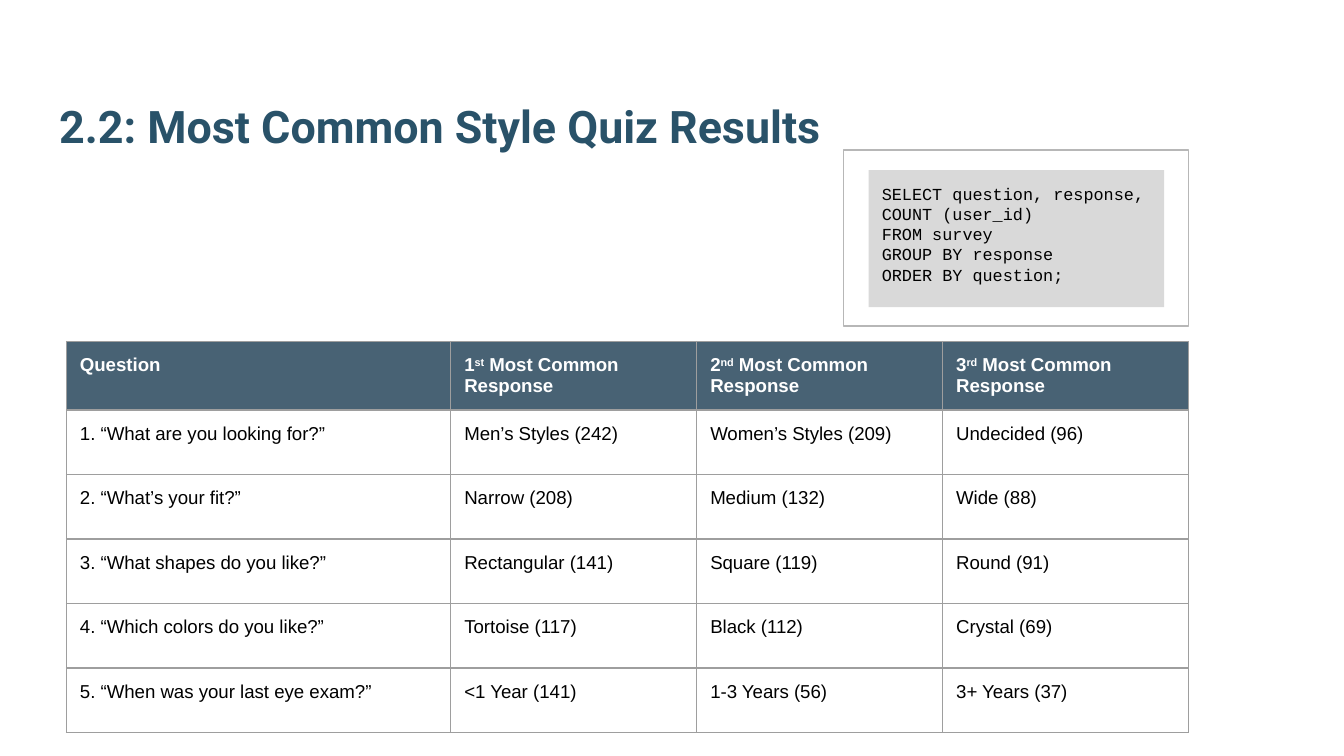
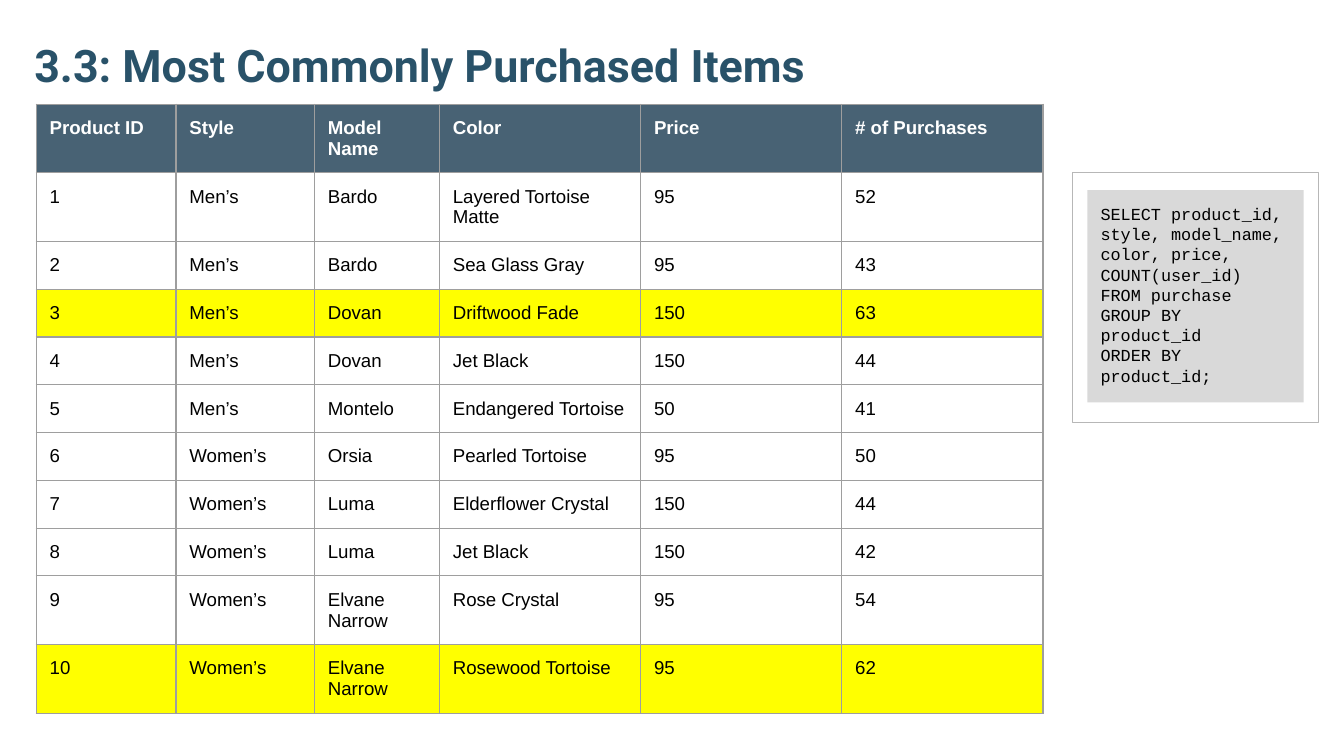
"""Build two slides of survey and purchase results, each with its query."""
from lxml.etree import SubElement
from pptx import Presentation
from pptx.dml.color import RGBColor as RGB
from pptx.enum.shapes import MSO_SHAPE as SHAPE
from pptx.enum.text import MSO_ANCHOR as ANCHOR, PP_ALIGN as ALIGN
from pptx.oxml.ns import qn
from pptx.util import Inches, Pt

COLORS = {"title": "295269", "header": "204056", "highlight": "FFFF00", "code": "D9D9D9",
          "frame": "B7B7B7", "border": "9E9E9E", "text": "000000", "header_text": "FFFFFF"}
FORMATS = {
    "title": {"name": "Roboto", "size": Pt(24), "bold": True, "color": "title"},
    "header": {"name": "Arial", "size": Pt(10), "bold": True, "color": "header_text"},
    "cell": {"name": "Arial", "size": Pt(10), "bold": False, "color": "text"},
    "code": {"name": "Courier New", "size": Pt(9), "bold": False, "color": "text"},
}
MARGINS = {f"margin_{side}": Inches(0.1) for side in ("left", "right", "top", "bottom")}
HEADER_ALPHA = "82000"
SUPERSCRIPT = "30000"

SLIDES = [
    {
        "title": "2.2: Most Common Style Quiz Results",
        "title_at": (3.4, 3.15, 93.2, 9.2),
        "frame_at": (62.75, 11.15, 25.7, 13.1),
        "code_at": (64.63, 12.65, 22, 10.2),
        "table_at": (4.95, 25.4),
        "columns": [28.6] + [18.3] * 3,
        "rows": [3.6] + [4.8] * 5,
        "highlighted": (),
        "answers": [
            ["Question"] + [f"{rank} Most Common Response" for rank in ("1^st^", "2^nd^", "3^rd^")],
            ["1. “What are you looking for?”", "Men’s Styles (242)", "Women’s Styles (209)", "Undecided (96)"],
            ["2. “What’s your fit?”", "Narrow (208)", "Medium (132)", "Wide (88)"],
            ["3. “What shapes do you like?”", "Rectangular (141)", "Square (119)", "Round (91)"],
            ["4. “Which colors do you like?”", "Tortoise (117)", "Black (112)", "Crystal (69)"],
            ["5. “When was your last eye exam?”", "<1 Year (141)", "1-3 Years (56)", "3+ Years (37)"],
        ],
        "query": ["SELECT question, response,", "COUNT (user_id)", "FROM survey",
                  "GROUP BY response", "ORDER BY question;"],
    },
    {
        "title": "3.3: Most Commonly Purchased Items",
        "title_at": (1.55, -1.4, 93.2, 9.2),
        "frame_at": (79.8, 12.85, 18.3, 18.6),
        "code_at": (80.9, 14.15, 16.1, 15.8),
        "table_at": (2.7, 7.75),
        "columns": [10.4, 10.3, 9.3] + [14.97] * 3,
        "rows": [4.7] * 2 + [3.3] * 7 + [4.7] * 2,
        "highlighted": (3, 10),
        "answers": [
            ["Product ID", "Style", "Model Name", "Color", "Price", "# of Purchases"],
            ["1", "Men’s", "Bardo", "Layered Tortoise Matte", "95", "52"],
            ["2", "Men’s", "Bardo", "Sea Glass Gray", "95", "43"],
            ["3", "Men’s", "Dovan", "Driftwood Fade", "150", "63"],
            ["4", "Men’s", "Dovan", "Jet Black", "150", "44"],
            ["5", "Men’s", "Montelo", "Endangered Tortoise", "50", "41"],
            ["6", "Women’s", "Orsia", "Pearled Tortoise", "95", "50"],
            ["7", "Women’s", "Luma", "Elderflower Crystal", "150", "44"],
            ["8", "Women’s", "Luma", "Jet Black", "150", "42"],
            ["9", "Women’s", "Elvane Narrow", "Rose Crystal", "95", "54"],
            ["10", "Women’s", "Elvane Narrow", "Rosewood Tortoise", "95", "62"],
        ],
        "query": ["SELECT product_id, style, model_name, color, price,", "COUNT(user_id)",
                  "FROM purchase", "GROUP BY product_id", "ORDER BY product_id;"],
    },
]

deck = Presentation()
deck.slide_width = Inches(10)
deck.slide_height = deck.slide_width * 9 // 16
COLUMN, ROW = deck.slide_width / 100, deck.slide_height / 56.25


def grid(left, top, width, height):
    """Turn grid columns and rows into slide lengths."""
    return [round(share * unit) for share, unit in zip((left, top, width, height), (COLUMN, ROW) * 2)]


def write(holder, lines, style):
    """Fill a text frame with lines; text between carets is superscript."""
    holder.text = "\n".join(line.replace("^", "") for line in lines)
    for paragraph, line in zip(holder.paragraphs, lines):
        paragraph.alignment = ALIGN.LEFT
        paragraph.clear()
        for position, piece in enumerate(line.split("^")):
            run = paragraph.add_run()
            run.text = piece
            for key, value in FORMATS[style].items():
                if key == "color":
                    run.font.color.rgb = RGB.from_string(COLORS[value])
                else:
                    setattr(run.font, key, value)
            if position % 2:
                run._r.get_or_add_rPr().set("baseline", SUPERSCRIPT)


for content in SLIDES:
    slide = deck.slides.add_slide(deck.slide_layouts[5])
    heading = slide.shapes.title
    heading.left, heading.top, heading.width, heading.height = grid(*content["title_at"])
    write(heading.text_frame, [content["title"]], "title")
    for key, value in {**MARGINS, "vertical_anchor": ANCHOR.BOTTOM, "word_wrap": True}.items():
        setattr(heading.text_frame, key, value)

    frame = slide.shapes.add_shape(SHAPE.RECTANGLE, *grid(*content["frame_at"]))
    frame.shadow.inherit = False
    frame.fill.background()
    frame.line.color.rgb = RGB.from_string(COLORS["frame"])
    frame.line.width = Pt(0.75)

    answers, columns, rows = content["answers"], content["columns"], content["rows"]
    place = grid(*content["table_at"], sum(columns), sum(rows))
    results = slide.shapes.add_table(len(rows), len(columns), *place).table
    results.horz_banding = False
    for column, share in zip(results.columns, columns):
        column.width = round(share * COLUMN)
    for number, (row, share, entries) in enumerate(zip(results.rows, rows, answers)):
        row.height = round(share * ROW)
        for cell, entry in zip(row.cells, entries):
            write(cell.text_frame, [entry], "cell" if number else "header")
            for key, value in MARGINS.items():
                setattr(cell, key, value)
            properties = cell._tc.get_or_add_tcPr()
            for edge in ("lnL", "lnR", "lnT", "lnB"):
                border = SubElement(properties, qn(f"a:{edge}"), w=str(Pt(0.75)))
                SubElement(SubElement(border, qn("a:solidFill")), qn("a:srgbClr"), val=COLORS["border"])
            if number and number not in content["highlighted"]:
                cell.fill.background()
                continue
            cell.fill.solid()
            cell.fill.fore_color.rgb = RGB.from_string(COLORS["highlight" if number else "header"])
            if not number:
                shade = properties.find(f"{qn('a:solidFill')}/{qn('a:srgbClr')}")
                SubElement(shade, qn("a:alpha"), val=HEADER_ALPHA)

    query = slide.shapes.add_shape(SHAPE.RECTANGLE, *grid(*content["code_at"]))
    query.shadow.inherit = False
    query.fill.solid()
    query.fill.fore_color.rgb = RGB.from_string(COLORS["code"])
    query.line.fill.background()
    write(query.text_frame, content["query"], "code")
    for key, value in {**MARGINS, "vertical_anchor": ANCHOR.TOP, "word_wrap": True}.items():
        setattr(query.text_frame, key, value)

deck.save("out.pptx")
